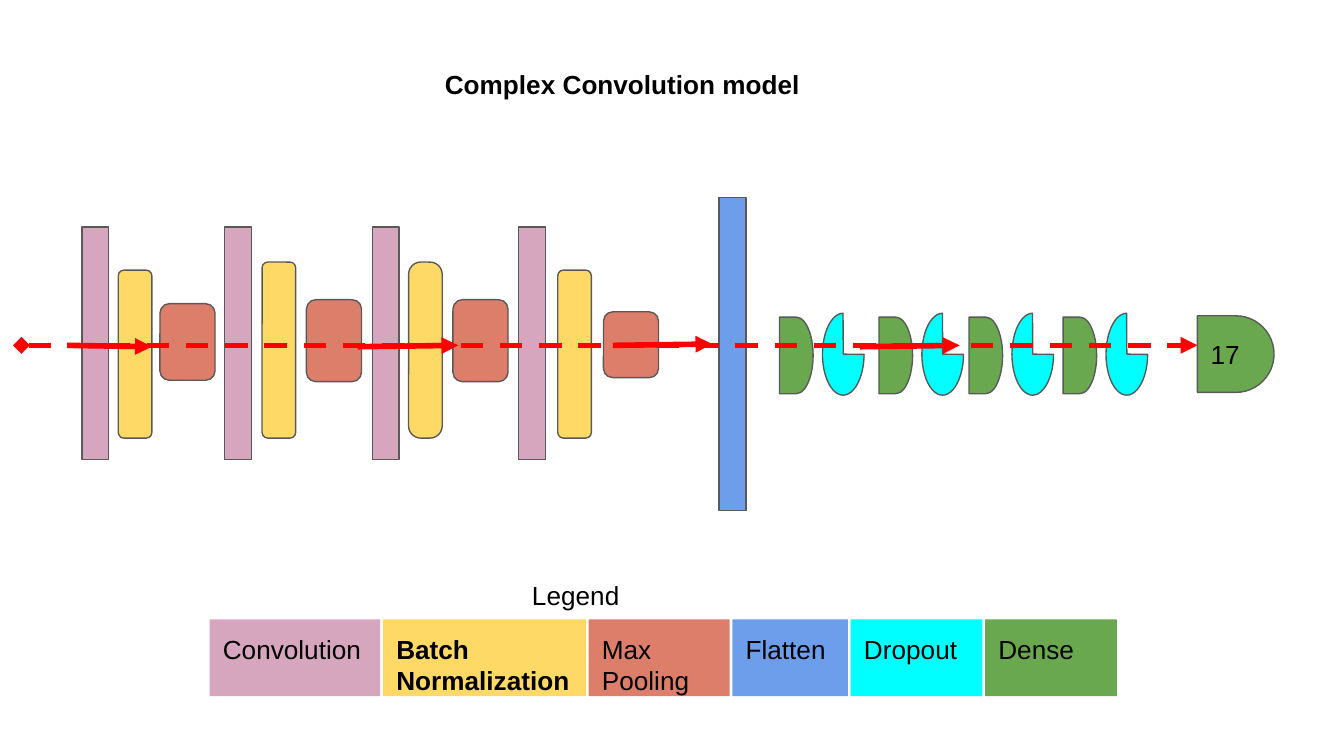
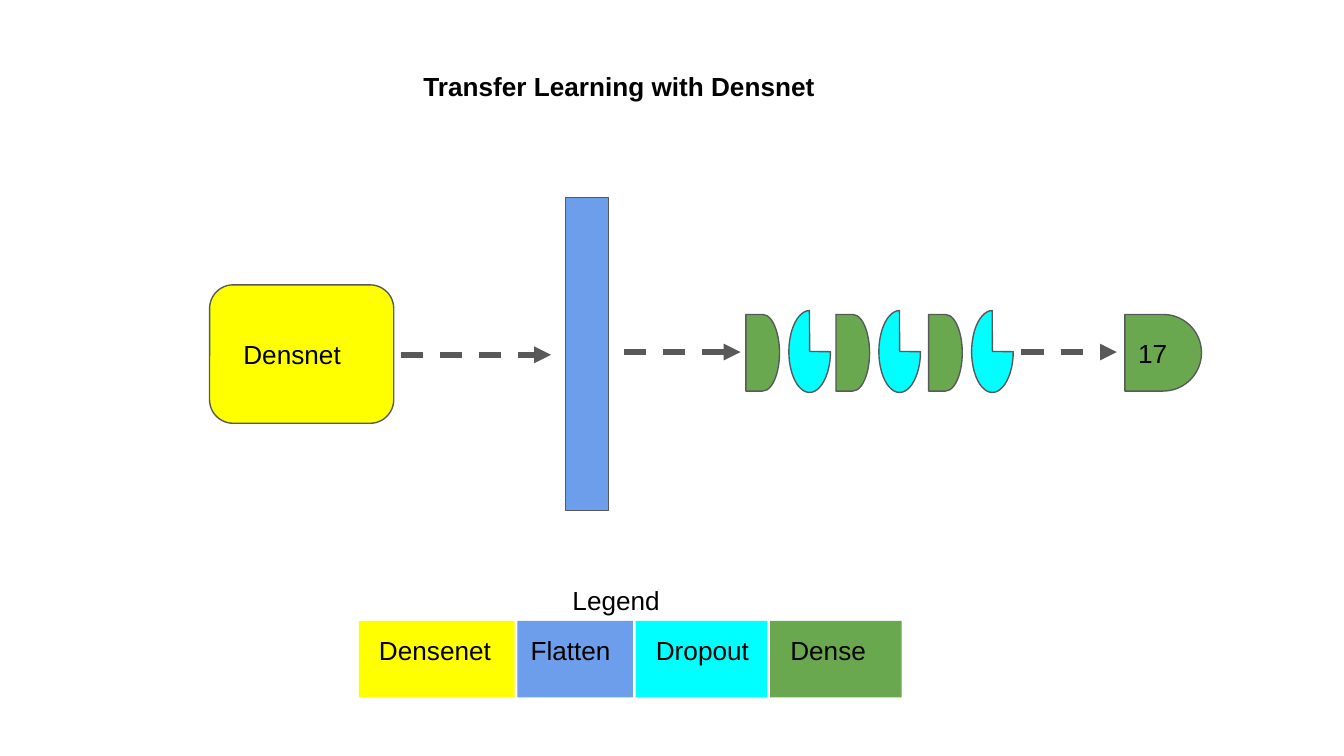
from lxml import etree
from pptx import Presentation
from pptx import util as u
from pptx.dml.color import RGBColor
from pptx.enum import dml, shapes, text
from pptx.oxml.ns import qn

COLORS = {
    "convolution": "D5A6BD",
    "normalization": "FFD966",
    "pooling": "DD7E6B",
    "flatten": "6D9EEB",
    "dropout": "00FFFF",
    "dense": "6AA84F",
    "densenet": "FFFF00",
    "outline": "595959",
    "flow": "FF0000",
    "text": "000000",
}
FORMS = shapes.MSO_SHAPE


def add_layer(slide, form, box, layer, outlined=True):
    shape = slide.shapes.add_shape(form, *map(u.Inches, box))
    shape.shadow.inherit = False
    shape.fill.solid()
    shape.fill.fore_color.rgb = RGBColor.from_string(COLORS[layer])
    if outlined:
        shape.line.color.rgb = RGBColor.from_string(COLORS["outline"])
        shape.line.width = u.Pt(0.75)
    else:
        shape.line.fill.background()
    return shape


def write(shape, words, bold=False, indent=0.1, anchor=text.MSO_ANCHOR.TOP):
    frame = shape.text_frame
    frame.auto_size = text.MSO_AUTO_SIZE.NONE
    frame.word_wrap = True
    frame.vertical_anchor = anchor
    frame.margin_left = u.Inches(indent)
    frame.margin_top = frame.margin_right = frame.margin_bottom = u.Inches(0.1)
    paragraph = frame.paragraphs[0]
    paragraph.alignment = text.PP_ALIGN.LEFT
    run = paragraph.add_run()
    run.text = words
    run.font.name = "Arial"
    run.font.size = u.Pt(14)
    run.font.bold = bold
    run.font.color.rgb = RGBColor.from_string(COLORS["text"])


deck = Presentation()
deck.slide_width = u.Inches(10)
deck.slide_height = deck.slide_width * 9 // 16
title_only = deck.slide_layouts[5]
convolution_slide = deck.slides.add_slide(title_only)
transfer_slide = deck.slides.add_slide(title_only)

titles = [
    (convolution_slide, "Complex Convolution model", (3.21, 0.41, 2.96, 0.49)),
    (transfer_slide, "Transfer Learning with Densnet", (3.05, 0.42, 3.88, 0.62)),
]
for slide, words, box in titles:
    title = slide.shapes.title
    title.left, title.top, title.width, title.height = map(u.Inches, box)
    write(title, words, bold=True)

stages = [
    (0.61, 0.88, 2.01, 0.17, 1.19, 2.26, 0.57),
    (1.67, 1.95, 1.95, 0.17, 2.28, 2.23, 0.61),
    (2.77, 3.04, 1.95, 0.36, 3.37, 2.23, 0.61),
    (3.86, 4.15, 2.01, 0.17, 4.49, 2.32, 0.49),
]
for conv_x, norm_x, norm_y, rounding, pool_x, pool_y, pool_height in stages:
    add_layer(convolution_slide, FORMS.RECTANGLE, (conv_x, 1.69, 0.2, 1.73), "convolution")
    pooling = add_layer(convolution_slide, FORMS.ROUNDED_RECTANGLE,
                        (pool_x, pool_y, 0.41, pool_height), "pooling")
    pooling.adjustments[0] = 0.17
    normalization = add_layer(convolution_slide, FORMS.ROUNDED_RECTANGLE,
                              (norm_x, norm_y, 0.25, 3.26 - norm_y), "normalization")
    normalization.adjustments[0] = rounding

densenet = add_layer(transfer_slide, FORMS.ROUNDED_RECTANGLE, (1.56, 2.12, 1.37, 1.03), "densenet")
densenet.adjustments[0] = 0.17
write(densenet, "Densnet", indent=0.2, anchor=text.MSO_ANCHOR.MIDDLE)

heads = [
    (convolution_slide, (5.35, 0.2), 2.36, (5.8, 6.54, 7.21, 7.91), (8.91, 2.35)),
    (transfer_slide, (4.21, 0.32), 2.34, (5.55, 6.22, 6.91), (8.37, 2.34)),
]
for slide, (flatten_x, flatten_width), dense_y, dense_xs, (output_x, output_y) in heads:
    add_layer(slide, FORMS.RECTANGLE, (flatten_x, 1.47, flatten_width, 2.33), "flatten")
    for dense_x in dense_xs:
        add_layer(slide, FORMS.FLOWCHART_DELAY, (dense_x, dense_y, 0.25, 0.57), "dense")
        dropout = add_layer(slide, FORMS.PIE, (dense_x + 0.17, dense_y + 0.12, 0.61, 0.31), "dropout")
        dropout.adjustments[0] = 0.35
        dropout.adjustments[1] = 161.75
        dropout.rotation = 90.2
        dropout.element.spPr.find(qn("a:xfrm")).set("flipH", "1")
    output = add_layer(slide, FORMS.FLOWCHART_DELAY, (output_x, output_y, 0.57, 0.57), "dense")
    write(output, "17", anchor=text.MSO_ANCHOR.MIDDLE)

legends = [
    (convolution_slide, (3.86, 4.21, 2.62, 0.41), 0.1, 1.56, 4.61, [
        ("Convolution", "convolution", 1.27),
        ("Batch Normalization", "normalization", 1.51),
        ("Max Pooling", "pooling", 1.05),
        ("Flatten", "flatten", 0.86),
        ("Dropout", "dropout", 0.98),
        ("Dense", "dense", 0.98),
    ]),
    (transfer_slide, (4.11, 4.25, 1.07, 0.41), 0.15, 2.67, 4.62, [
        ("Densenet", "densenet", 1.16),
        ("Flatten", "flatten", 0.86),
        ("Dropout", "dropout", 0.98),
        ("Dense", "dense", 0.98),
    ]),
]
for slide, heading_box, indent, key_x, key_y, keys in legends:
    heading = slide.shapes.add_textbox(*map(u.Inches, heading_box))
    write(heading, "Legend", indent=indent)
    for words, layer, width in keys:
        key = add_layer(slide, FORMS.RECTANGLE, (key_x, key_y, width, 0.57), layer, outlined=False)
        write(key, words, bold=layer == "normalization",
              indent=0.1 if layer == "flatten" else indent)
        key_x += width + 0.02

arrows = [
    (convolution_slide, (0.16, 2.57, 8.91, 2.57), "flow", True, "diamond"),
    (convolution_slide, (0.5, 2.57, 1.13, 2.58), "flow", False, None),
    (convolution_slide, (4.56, 2.57, 5.3, 2.56), "flow", False, None),
    (convolution_slide, (6.4, 2.58, 7.14, 2.57), "flow", False, None),
    (convolution_slide, (2.66, 2.58, 3.41, 2.57), "flow", False, None),
    (transfer_slide, (2.98, 2.64, 4.1, 2.64), "outline", True, None),
    (transfer_slide, (4.64, 2.62, 5.51, 2.62), "outline", True, None),
    (transfer_slide, (7.6, 2.62, 8.31, 2.62), "outline", True, None),
]
for slide, ends, color, dashed, start in arrows:
    arrow = slide.shapes.add_connector(shapes.MSO_CONNECTOR.STRAIGHT, *map(u.Inches, ends))
    arrow.line.color.rgb = RGBColor.from_string(COLORS[color])
    arrow.line.width = u.Pt(3)
    if dashed:
        arrow.line.dash_style = dml.MSO_LINE.DASH
    properties = arrow.element.spPr
    stroke = properties.find(qn("a:ln"))
    if start:
        etree.SubElement(stroke, qn("a:headEnd"), type=start)
    etree.SubElement(stroke, qn("a:tailEnd"), type="triangle")
    etree.SubElement(properties, qn("a:effectLst"))

deck.save("out.pptx")
